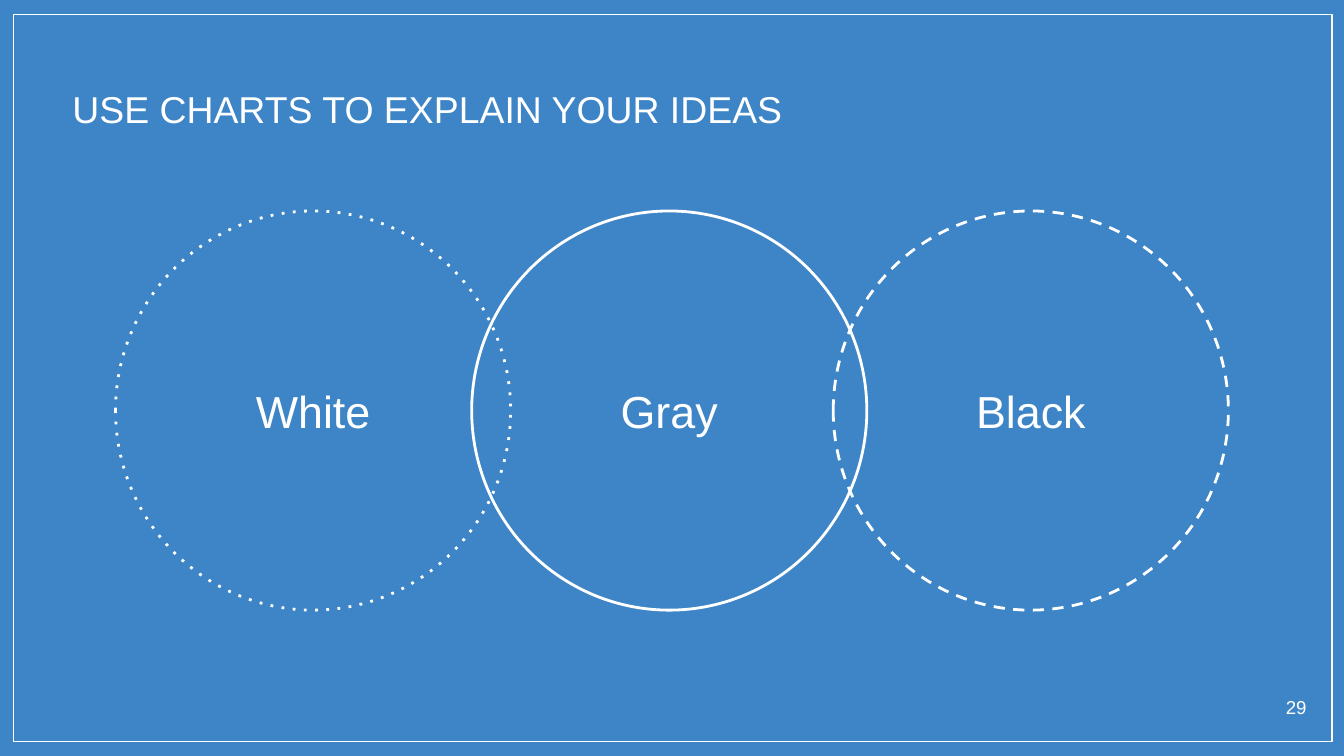
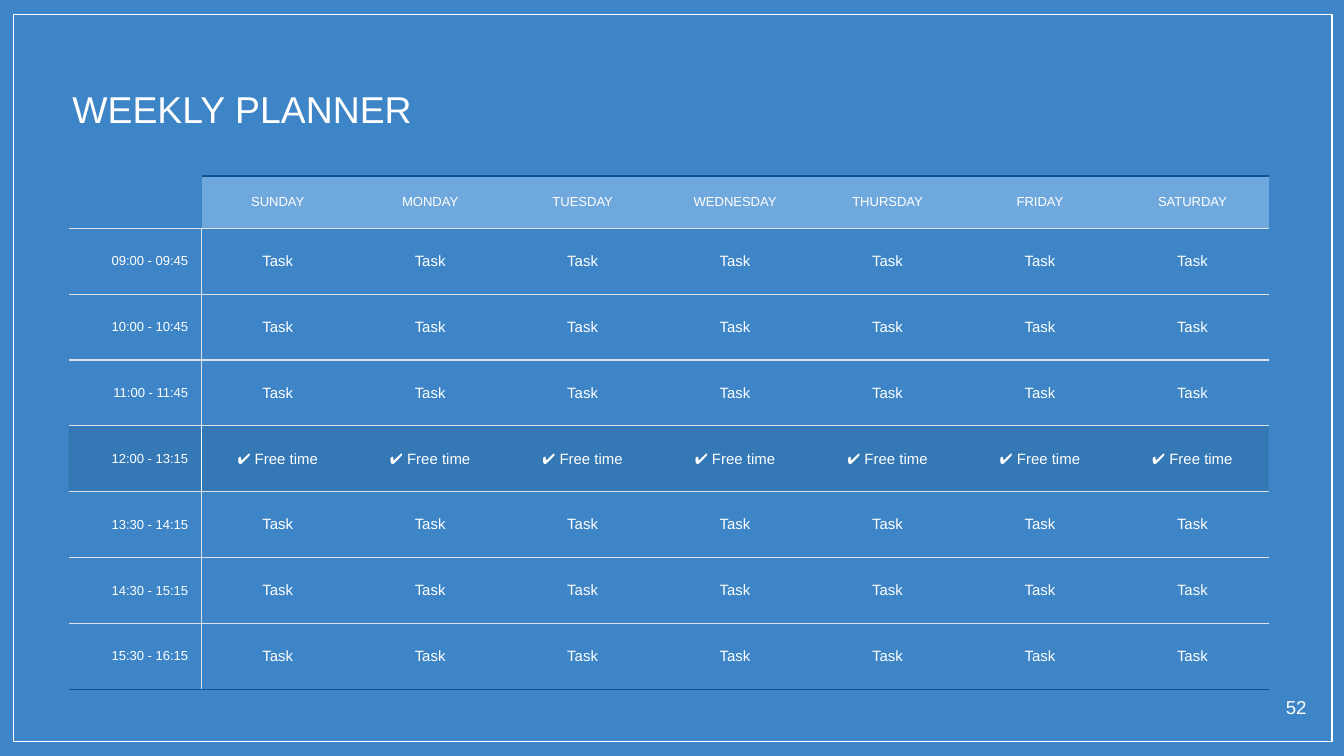
from lxml import etree
from pptx import Presentation
from pptx.dml.color import RGBColor
from pptx.enum.shapes import MSO_SHAPE
from pptx.enum.text import MSO_ANCHOR, PP_ALIGN
from pptx.oxml.ns import qn
from pptx.util import Inches, Pt

RECTANGLE, OVAL = MSO_SHAPE.RECTANGLE, MSO_SHAPE.OVAL
LEFT, CENTER, RIGHT = PP_ALIGN.LEFT, PP_ALIGN.CENTER, PP_ALIGN.RIGHT
TOP, MIDDLE = MSO_ANCHOR.TOP, MSO_ANCHOR.MIDDLE

COLORS = {
    "background": "3D85C6",
    "white": "FFFFFF",
    "header": "6FA8DC",
    "edge": "0B5394",
    "rule": "DFE3E9",
    "break": "073763",
}
FONT = "Arial"
INSET = Inches(0.1)
BREAK_OPACITY = 16

CIRCLES = [("Gray", 3.51, "solid"), ("White", 0.86, "dot"), ("Black", 6.2, "dash")]
DAYS = ["SUNDAY", "MONDAY", "TUESDAY", "WEDNESDAY", "THURSDAY", "FRIDAY", "SATURDAY"]
HOURS = [
    "09:00 - 09:45",
    "10:00 - 10:45",
    "11:00 - 11:45",
    "12:00 - 13:15",
    "13:30 - 14:15",
    "14:30 - 15:15",
    "15:30 - 16:15",
]
BREAK_HOUR = "12:00 - 13:15"


def rgb(name):
    return RGBColor.from_string(COLORS[name])


def set_margins(holder):
    holder.margin_left = holder.margin_right = INSET
    holder.margin_top = holder.margin_bottom = INSET


def style_paragraph(paragraph, text, size, align):
    paragraph.text = text
    paragraph.alignment = align
    paragraph.font.name = FONT
    paragraph.font.size = Pt(size)
    paragraph.font.color.rgb = rgb("white")


def write(frame, text, size, align, anchor):
    frame.word_wrap = True
    frame.vertical_anchor = anchor
    set_margins(frame)
    style_paragraph(frame.paragraphs[0], text, size, align)


def add_label(slide, box, text, size, align):
    label = slide.shapes.add_textbox(*map(Inches, box))
    write(label.text_frame, text, size, align, TOP)


def add_outline(slide, preset, box, weight, dash="solid"):
    outline = slide.shapes.add_shape(preset, *map(Inches, box))
    outline.shadow.inherit = False
    outline.fill.background()
    outline.line.color.rgb = rgb("white")
    outline.line.width = Pt(weight)
    line = outline._element.spPr.find(qn("a:ln"))
    etree.SubElement(line, qn("a:prstDash"), val=dash)
    return outline


def add_base_slide(deck, title, number):
    slide = deck.slides.add_slide(deck.slide_layouts[6])
    slide.background.fill.solid()
    slide.background.fill.fore_color.rgb = rgb("background")
    add_outline(slide, RECTANGLE, (0.1, 0.11, 9.81, 5.41), 0.75)
    add_label(slide, (0.44, 0.54, 9, 0.45), title, 20, LEFT)
    add_label(slide, (9.32, 5.09, 0.5, 0.32), str(number), 10, RIGHT)
    return slide


def set_borders(cell, **sides):
    properties = cell._tc.get_or_add_tcPr()
    for side in "LRTB":
        border = etree.SubElement(properties, qn(f"a:ln{side}"), w=str(Pt(0.75)))
        if side in sides:
            fill = etree.SubElement(border, qn("a:solidFill"))
            etree.SubElement(fill, qn("a:srgbClr"), val=COLORS[sides[side]])
        else:
            etree.SubElement(border, qn("a:noFill"))


def set_fill(cell, color=None, opacity=100):
    if color is None:
        cell.fill.background()
        return
    cell.fill.solid()
    cell.fill.fore_color.rgb = rgb(color)
    if opacity < 100:
        tint = cell._tc.tcPr.find(qn("a:solidFill")).find(qn("a:srgbClr"))
        etree.SubElement(tint, qn("a:alpha"), val=str(opacity * 1000))


def fill_cell(cell, text, size, align, borders, color=None, opacity=100):
    cell.vertical_anchor = MIDDLE
    set_margins(cell)
    style_paragraph(cell.text_frame.paragraphs[0], text, size, align)
    set_borders(cell, **borders)
    set_fill(cell, color, opacity)


def add_planner(slide):
    day_width = Inches(7.94) // len(DAYS)
    widths = [Inches(0.99)] + [day_width] * len(DAYS)
    heights = [Inches(0.39)] + [Inches(0.49)] * len(HOURS)
    planner = slide.shapes.add_table(
        len(heights), len(widths), Inches(0.51), Inches(1.31), sum(widths), sum(heights)
    ).table
    planner.first_row = planner.horz_banding = False
    for column, width in zip(planner.columns, widths):
        column.width = width
    for row, height in zip(planner.rows, heights):
        row.height = height

    fill_cell(planner.cell(0, 0), "", 7, CENTER, {"R": "background", "B": "rule"})
    for column, day in enumerate(DAYS, 1):
        borders = {"T": "edge", "B": "rule"}
        if column == 1:
            borders["L"] = "background"
        fill_cell(planner.cell(0, column), day, 7, CENTER, borders, "header")

    for row, hour in enumerate(HOURS, 1):
        is_break = hour == BREAK_HOUR
        activity = "✔ Free time" if is_break else "Task"
        divider = "white" if is_break else "rule"
        shade = ("break", BREAK_OPACITY) if is_break else ()
        rules = {"T": "rule", "B": "edge" if row == len(HOURS) else "rule"}
        fill_cell(planner.cell(row, 0), hour, 7, RIGHT, {**rules, "R": divider}, *shade)
        for column in range(1, len(widths)):
            borders = {**rules, "L": divider} if column == 1 else rules
            fill_cell(planner.cell(row, column), activity, 8, CENTER, borders, *shade)


def add_circles(slide):
    for name, left, dash in CIRCLES:
        circle = add_outline(slide, OVAL, (left, 1.57, 2.94, 2.97), 1.5, dash)
        write(circle.text_frame, name, 24, CENTER, MIDDLE)


def main():
    deck = Presentation()
    deck.slide_width = Inches(10)
    deck.slide_height = deck.slide_width * 9 // 16
    add_circles(add_base_slide(deck, "USE CHARTS TO EXPLAIN YOUR IDEAS", 29))
    add_planner(add_base_slide(deck, "WEEKLY PLANNER", 52))
    deck.save("out.pptx")


if __name__ == "__main__":
    main()
